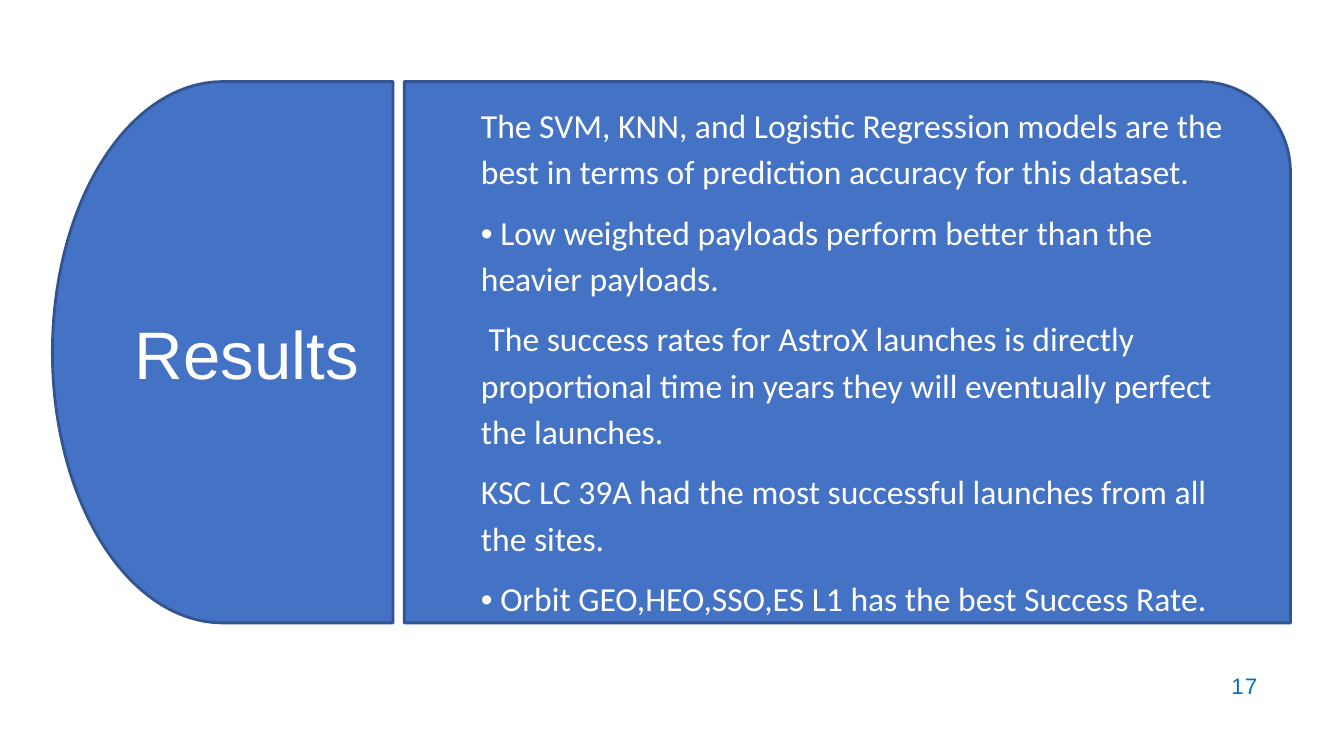
from dataclasses import dataclass

from pptx import Presentation
from pptx.dml.color import RGBColor
from pptx.enum.shapes import MSO_SHAPE
from pptx.enum.text import MSO_ANCHOR, MSO_AUTO_SIZE, PP_ALIGN
from pptx.oxml.xmlchemy import OxmlElement
from pptx.util import Inches, Pt

SLIDE_WIDTH, SLIDE_HEIGHT = Inches(13.33), Inches(7.5)


@dataclass(frozen=True)
class Theme:
    panel: RGBColor = RGBColor(0x44, 0x72, 0xC4)
    outline: RGBColor = RGBColor(0x32, 0x54, 0x91)
    panel_text: RGBColor = RGBColor(0xFF, 0xFF, 0xFF)
    number_text: RGBColor = RGBColor(0x00, 0x70, 0xC0)
    heading_font: str = "Arial"
    body_font: str = "Calibri"
    title_size: Pt = Pt(48)
    body_size: Pt = Pt(24)
    number_size: Pt = Pt(16)
    outline_width: Pt = Pt(2)


THEME = Theme()
BULLET = "•"

# Places as percentages of the slide: left, top, width, height
PANEL_TOP, PANEL_HEIGHT = 10.8, 71.6
TITLE_PANEL = (3.9, PANEL_TOP, 25.35, PANEL_HEIGHT)
FINDINGS_PANEL = (30.08, PANEL_TOP, 65.94, PANEL_HEIGHT)
TITLE_AREA = (7.13, PANEL_TOP, 22.5, PANEL_HEIGHT)
FINDINGS_AREA = (35.03, 12.4, 58.51, 74)
NUMBER_AREA = (90.92, 89.07, 2.63, 3.33)

FINDINGS = [
    "The SVM, KNN, and Logistic Regression models are the best in terms of "
    "prediction accuracy for this dataset.",
    "• Low weighted payloads perform better than the heavier payloads.",
    " The success rates for AstroX launches is directly proportional time in "
    "years they will eventually perfect the launches.",
    "KSC LC 39A had the most successful launches from all the sites.",
    "• Orbit GEO,HEO,SSO,ES L1 has the best Success Rate.",
]


def apply(target, formats):
    for attribute, value in formats.items():
        setattr(target, attribute, value)


def place(area):
    left, top, width, height = area
    return (int(SLIDE_WIDTH * left / 100), int(SLIDE_HEIGHT * top / 100),
            int(SLIDE_WIDTH * width / 100), int(SLIDE_HEIGHT * height / 100))


def move(placeholder, area):
    apply(placeholder, dict(zip(("left", "top", "width", "height"), place(area))))


def format_frame(frame, anchor, **margins):
    apply(frame, {"word_wrap": True, "auto_size": MSO_AUTO_SIZE.NONE,
                  "vertical_anchor": anchor, **margins})


def add_run(paragraph, text, font, size, colour):
    run = paragraph.add_run()
    run.text = text
    apply(run.font, {"name": font, "size": size})
    run.font.color.rgb = colour
    return run


def add_panel(slide, kind, area, flipped=False):
    panel = slide.shapes.add_shape(kind, *place(area))
    panel.shadow.inherit = False
    panel.fill.solid()
    panel.fill.fore_color.rgb = THEME.panel
    panel.line.color.rgb = THEME.outline
    panel.line.width = THEME.outline_width
    if flipped:
        panel.element.spPr.xfrm.set("flipH", "1")
    # Panels lie behind the placeholders
    panel.element.getparent().insert(2, panel.element)


def fill_title(title, text):
    move(title, TITLE_AREA)
    format_frame(title.text_frame, MSO_ANCHOR.MIDDLE)
    paragraph = title.text_frame.paragraphs[0]
    paragraph.alignment = PP_ALIGN.CENTER
    add_run(paragraph, text, THEME.heading_font, THEME.title_size, THEME.panel_text)


def fill_findings(body, findings):
    move(body, FINDINGS_AREA)
    frame = body.text_frame
    format_frame(frame, MSO_ANCHOR.TOP)
    for index, finding in enumerate(findings):
        paragraph = frame.add_paragraph() if index else frame.paragraphs[0]
        apply(paragraph, {"alignment": PP_ALIGN.LEFT, "line_spacing": 1.15,
                          "space_before": Pt(0), "space_after": Pt(10)})
        # The template's hanging bullet is switched off
        properties = paragraph._p.get_or_add_pPr()
        properties.set("marL", "0")
        properties.set("indent", "0")
        properties.append(OxmlElement("a:buNone"))
        # The inline bullet sign has its own font
        if finding.startswith(BULLET):
            add_run(paragraph, BULLET, THEME.heading_font, THEME.body_size, THEME.panel_text)
        add_run(paragraph, finding.removeprefix(BULLET), THEME.body_font,
                THEME.body_size, THEME.panel_text)


def add_page_number(slide, number):
    frame = slide.shapes.add_textbox(*place(NUMBER_AREA)).text_frame
    format_frame(frame, MSO_ANCHOR.MIDDLE, margin_left=0, margin_top=0,
                 margin_right=0, margin_bottom=0)
    paragraph = frame.paragraphs[0]
    apply(paragraph, {"alignment": PP_ALIGN.RIGHT, "line_spacing": Pt(18.4)})
    run = add_run(paragraph, number, THEME.heading_font, THEME.number_size, THEME.number_text)
    run.font._element.set("spc", "80")


def main():
    presentation = Presentation()
    apply(presentation, {"slide_width": SLIDE_WIDTH, "slide_height": SLIDE_HEIGHT})
    slide = presentation.slides.add_slide(presentation.slide_layouts[1])

    # Panels
    add_panel(slide, MSO_SHAPE.FLOWCHART_DELAY, TITLE_PANEL, flipped=True)
    add_panel(slide, MSO_SHAPE.ROUND_1_RECTANGLE, FINDINGS_PANEL)

    # Text
    fill_title(slide.shapes.title, "Results")
    fill_findings(slide.placeholders[1], FINDINGS)
    add_page_number(slide, "17")

    presentation.save("out.pptx")


if __name__ == "__main__":
    main()
